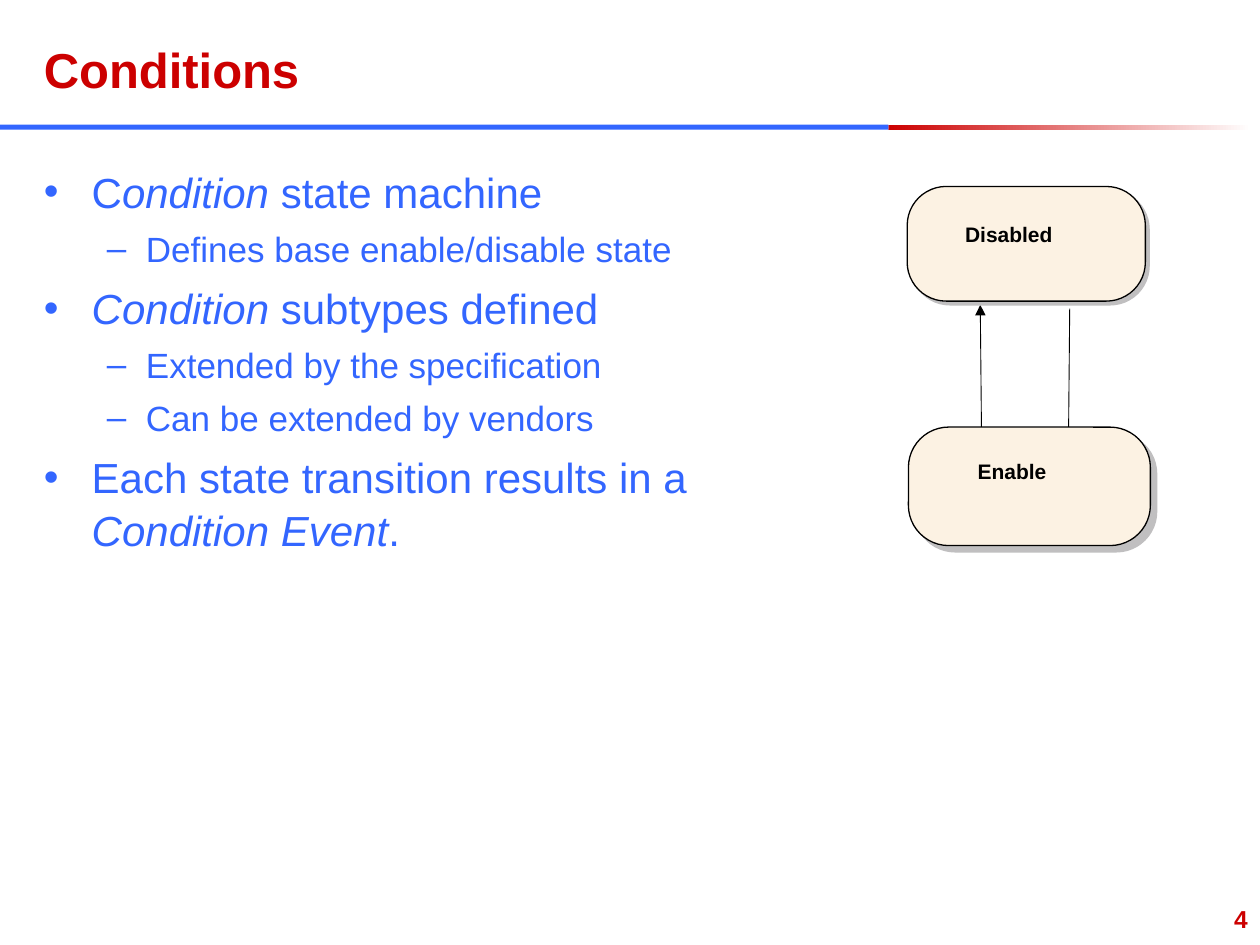
from lxml.etree import SubElement
from pptx import Presentation
from pptx.dml.color import RGBColor
from pptx.enum.shapes import MSO_CONNECTOR, MSO_SHAPE
from pptx.enum.text import MSO_ANCHOR, PP_ALIGN
from pptx.oxml.ns import qn
from pptx.util import Inches, Pt

RED = RGBColor(0xCC, 0x00, 0x00)
BLUE = RGBColor(0x33, 0x66, 0xFF)
CREAM = RGBColor(0xFC, 0xF2, 0xE3)
GREY = RGBColor(0xC0, 0xBF, 0xC0)
BLACK = RGBColor(0x00, 0x00, 0x00)
WHITE = RGBColor(0xFF, 0xFF, 0xFF)

deck = Presentation()
deck.slide_width, deck.slide_height = Inches(10), Inches(7.5)
COLUMN = deck.slide_width / 100
ROW = deck.slide_height / 75
page = deck.slides.add_slide(deck.slide_layouts[6])


def add_block(kind, left, top, width, height):
    block = page.shapes.add_shape(kind, int(left * COLUMN), int(top * ROW),
                                  int(width * COLUMN), int(height * ROW))
    block.shadow.inherit = False
    return block


def add_text(left, top, width, height, text, size, color, bold=True, margin=1.0):
    box = page.shapes.add_textbox(int(left * COLUMN), int(top * ROW),
                                  int(width * COLUMN), int(height * ROW))
    frame = box.text_frame
    frame.word_wrap = True
    frame.margin_left = frame.margin_right = int(margin * COLUMN)
    frame.margin_top = frame.margin_bottom = int(margin / 2 * ROW)
    frame.text = text
    font = frame.paragraphs[0].font
    font.name, font.size, font.bold = "Arial", Pt(size), bold
    font.color.rgb = color
    return frame


fading_rule = add_block(MSO_SHAPE.RECTANGLE, 70.5, 9.9, 28.8, 0.4)
fading_rule.fill.gradient()
fading_rule.fill.gradient_angle = 0
for stop, color in zip(fading_rule.fill.gradient_stops, (RED, WHITE)):
    stop.color.rgb = color
fading_rule.line.fill.background()

solid_rule = add_block(MSO_SHAPE.RECTANGLE, 0, 9.9, 70.5, 0.4)
solid_rule.fill.solid()
solid_rule.fill.fore_color.rgb = BLUE
solid_rule.line.fill.background()

title = add_text(2.5, 2.5, 68.3, 5.8, "Conditions", 28, RED)
title.vertical_anchor = MSO_ANCHOR.BOTTOM

LEVELS = [
    {"mark": "•", "size": 24, "margin": 0.38, "hang": 0.38, "before": 6},
    {"mark": "–", "size": 20, "margin": 0.81, "hang": 0.31, "before": 5},
]
POINTS = [
    (0, [("C", False), ("ondition", True), (" state machine", False)]),
    (1, [("Defines base enable/disable state", False)]),
    (0, [("Condition", True), (" subtypes defined", False)]),
    (1, [("Extended by the specification", False)]),
    (1, [("Can be extended by vendors", False)]),
    (0, [("Each state transition results in a ", False),
         ("Condition Event", True), (".", False)]),
]
body = add_text(2.5, 12.5, 68, 57.5, "", 24, BLUE, bold=False)
for index, (level, spans) in enumerate(POINTS):
    style = LEVELS[level]
    para = body.add_paragraph() if index else body.paragraphs[0]
    para.level = level
    para.line_spacing = 1.05
    para.space_before = Pt(style["before"] if index else 0)
    properties = para._p.get_or_add_pPr()
    properties.set("marL", str(Inches(style["margin"])))
    properties.set("indent", str(-Inches(style["hang"])))
    for default_font in properties.findall(qn("a:defRPr")):
        properties.remove(default_font)
    bullet_color = SubElement(properties, qn("a:buClr"))
    SubElement(bullet_color, qn("a:srgbClr"), val=str(BLUE))
    SubElement(properties, qn("a:buFont"), typeface="Arial")
    SubElement(properties, qn("a:buChar"), char=style["mark"])
    for text, italic in spans:
        span = para.add_run()
        span.text = text
        span.font.name, span.font.size = "Arial", Pt(style["size"])
        span.font.italic = italic
        span.font.color.rgb = BLUE

TRANSITIONS = [(84.9, 24.5, 84.8, 35.1), (77.9, 34.4, 77.8, 24.2)]
for start_x, start_y, end_x, end_y in TRANSITIONS:
    arrow = page.shapes.add_connector(
        MSO_CONNECTOR.STRAIGHT, int(start_x * COLUMN), int(start_y * ROW),
        int(end_x * COLUMN), int(end_y * ROW))
    arrow.line.color.rgb = BLACK
    arrow.line.width = Pt(0.5)
    SubElement(arrow.line._get_or_add_ln(), qn("a:tailEnd"), type="triangle")
    SubElement(arrow._element.spPr, qn("a:effectLst"))

STATES = [
    ("Disabled", (72, 14.8, 18.9, 9.1), 0.3, (76.6, 17.6, 9, 3.7)),
    ("Enable", (72.1, 33.9, 19.2, 9.4), 0.5, (77.6, 36.4, 7.4, 3.8)),
]
for name, (left, top, width, height), offset, label in STATES:
    for shift, fill, outline in ((offset, GREY, GREY), (0, CREAM, BLACK)):
        state = add_block(MSO_SHAPE.ROUNDED_RECTANGLE, left + shift, top + shift,
                          width, height)
        state.adjustments[0] = 0.34
        state.fill.solid()
        state.fill.fore_color.rgb = fill
        state.line.color.rgb = outline
        state.line.width = Pt(0.75)
    add_text(*label, name, 12, BLACK, margin=0)

page_number = add_text(79.2, 70.8, 20.8, 4.2, "4", 14, RED)
page_number.vertical_anchor = MSO_ANCHOR.MIDDLE
page_number.paragraphs[0].alignment = PP_ALIGN.RIGHT

deck.save("out.pptx")
